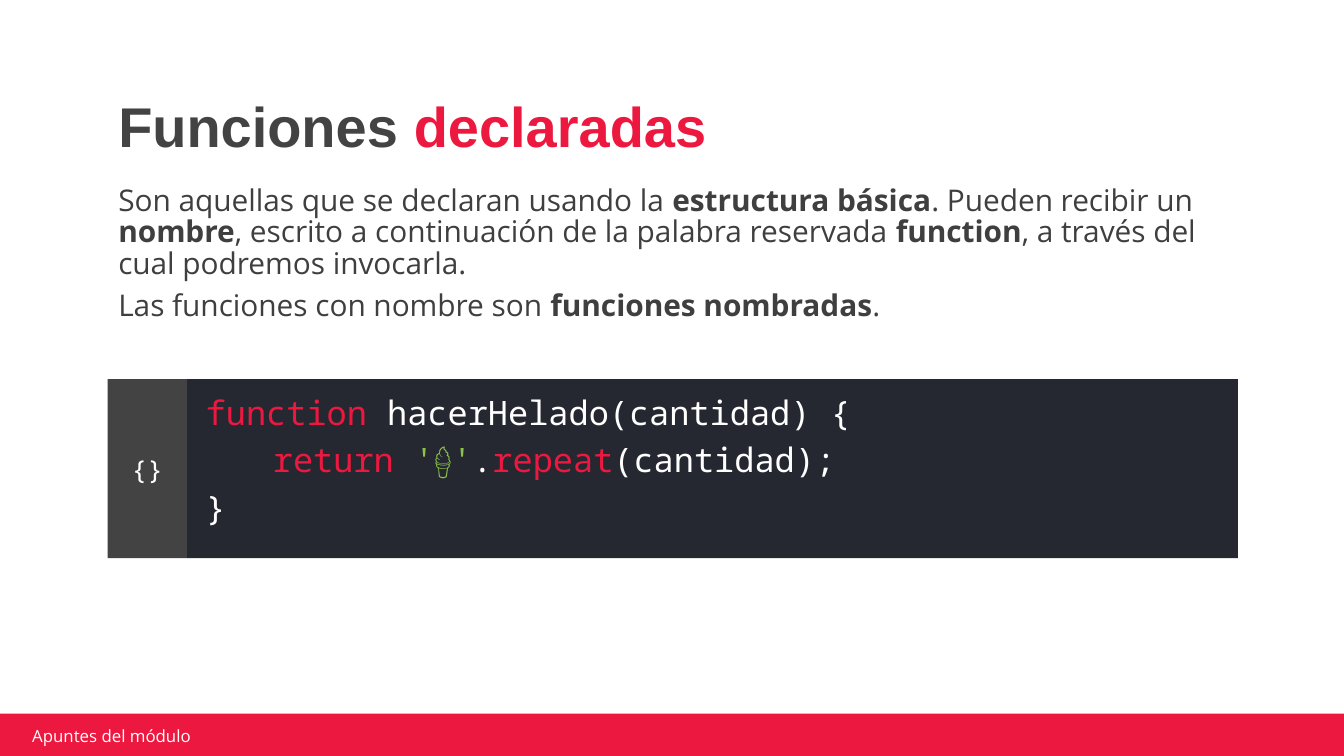
from pptx import Presentation
from pptx.dml.color import RGBColor
from pptx.enum.shapes import MSO_SHAPE
from pptx.enum.text import MSO_ANCHOR, PP_ALIGN
from pptx.util import Pt

RECTANGLE = MSO_SHAPE.RECTANGLE
TOP, MIDDLE, BOTTOM = MSO_ANCHOR.TOP, MSO_ANCHOR.MIDDLE, MSO_ANCHOR.BOTTOM
CENTER = PP_ALIGN.CENTER

RED = RGBColor(0xEC, 0x18, 0x3F)
DARK_GRAY = RGBColor(0x43, 0x43, 0x43)
BODY_GRAY = RGBColor(0x3F, 0x3F, 0x3F)
NAVY = RGBColor(0x26, 0x28, 0x31)
GREEN = RGBColor(0x8B, 0xC3, 0x4A)
WHITE = RGBColor(0xFF, 0xFF, 0xFF)

CODE_FONT = "Noto Sans Mono"
BODY_FONT = "Open Sans"


def add_rectangle(shapes, left, top, width, height, color):
    shape = shapes.add_shape(RECTANGLE, Pt(left), Pt(top), Pt(width), Pt(height))
    shape.shadow.inherit = False
    shape.fill.solid()
    shape.fill.fore_color.rgb = color
    shape.line.fill.background()
    return shape


def write_text(shape, paragraphs, font_name, size, anchor, margins,
               line_spacing=1.0, alignment=PP_ALIGN.LEFT):
    """Fill a shape with paragraphs, each a list of (text, color, bold)."""
    text_frame = shape.text_frame
    text_frame.word_wrap = True
    text_frame.vertical_anchor = anchor
    (text_frame.margin_left, text_frame.margin_top,
     text_frame.margin_right, text_frame.margin_bottom) = map(Pt, margins)
    for index, pieces in enumerate(paragraphs):
        paragraph = text_frame.add_paragraph() if index else text_frame.paragraphs[0]
        paragraph.alignment = alignment
        paragraph.line_spacing = line_spacing
        if index:
            paragraph.space_before = Pt(6)
        for text, color, bold in pieces:
            run = paragraph.add_run()
            run.text = text
            run.font.name = font_name
            run.font.size = Pt(size)
            run.font.bold = bold
            run.font.color.rgb = color


presentation = Presentation()
presentation.slide_width = Pt(720)
presentation.slide_height = Pt(405)
slide = presentation.slides.add_slide(presentation.slide_layouts[6])
shapes = slide.shapes
even_margins = (7.2, 7.2, 7.2, 7.2)

# Title
title = shapes.add_textbox(Pt(56.3), Pt(43.2), Pt(607), Pt(49.7))
write_text(title, [[("Funciones ", DARK_GRAY, True), ("declaradas", RED, True)]],
           "Arial", 30, BOTTOM, even_margins, 0.9)

# Code block with its side label
code_group = shapes.add_group_shape()
code_panel = add_rectangle(code_group.shapes, 100.2, 203.2, 563, 95.8, NAVY)
code_lines = [
    [("function", RED, False), (" hacerHelado(cantidad) {", WHITE, False)],
    [("\t", WHITE, False), ("return ", RED, False), ("'🍦'", GREEN, False),
     (".", WHITE, False), ("repeat", RED, False), ("(cantidad);", WHITE, False)],
    [("}", WHITE, False)],
]
write_text(code_panel, code_lines, CODE_FONT, 18, MIDDLE, (10, 0, 7.2, 7.2), 0.9)
code_label = add_rectangle(code_group.shapes, 57.7, 203.2, 42.5, 95.8, DARK_GRAY)
write_text(code_label, [[("{}", WHITE, False)]], CODE_FONT, 14, MIDDLE,
           even_margins, alignment=CENTER)

# Explanation
explanation = shapes.add_textbox(Pt(56.3), Pt(92.9), Pt(607), Pt(38.2))
explanation_paragraphs = [
    [("Son aquellas que se declaran usando la ", BODY_GRAY, False),
     ("estructura básica", BODY_GRAY, True),
     (". Pueden recibir un ", BODY_GRAY, False),
     ("nombre", BODY_GRAY, True),
     (", escrito a continuación de la palabra reservada ", BODY_GRAY, False),
     ("function", BODY_GRAY, True),
     (", a través del cual podremos invocarla.", BODY_GRAY, False)],
    [("Las funciones con nombre son ", BODY_GRAY, False),
     ("funciones nombradas", BODY_GRAY, True),
     (".", BODY_GRAY, False)],
]
write_text(explanation, explanation_paragraphs, BODY_FONT, 16, TOP, even_margins, 0.87)

# Footer
add_rectangle(shapes, -1.4, 382.3, 722, 26, RED)
footer = shapes.add_textbox(Pt(13.7), Pt(388.8), Pt(172), Pt(10.8))
write_text(footer, [[("Apuntes del módulo", WHITE, False)]], BODY_FONT, 9, MIDDLE,
           (3.6, 1.4, 3.6, 1.4))

presentation.save("out.pptx")
